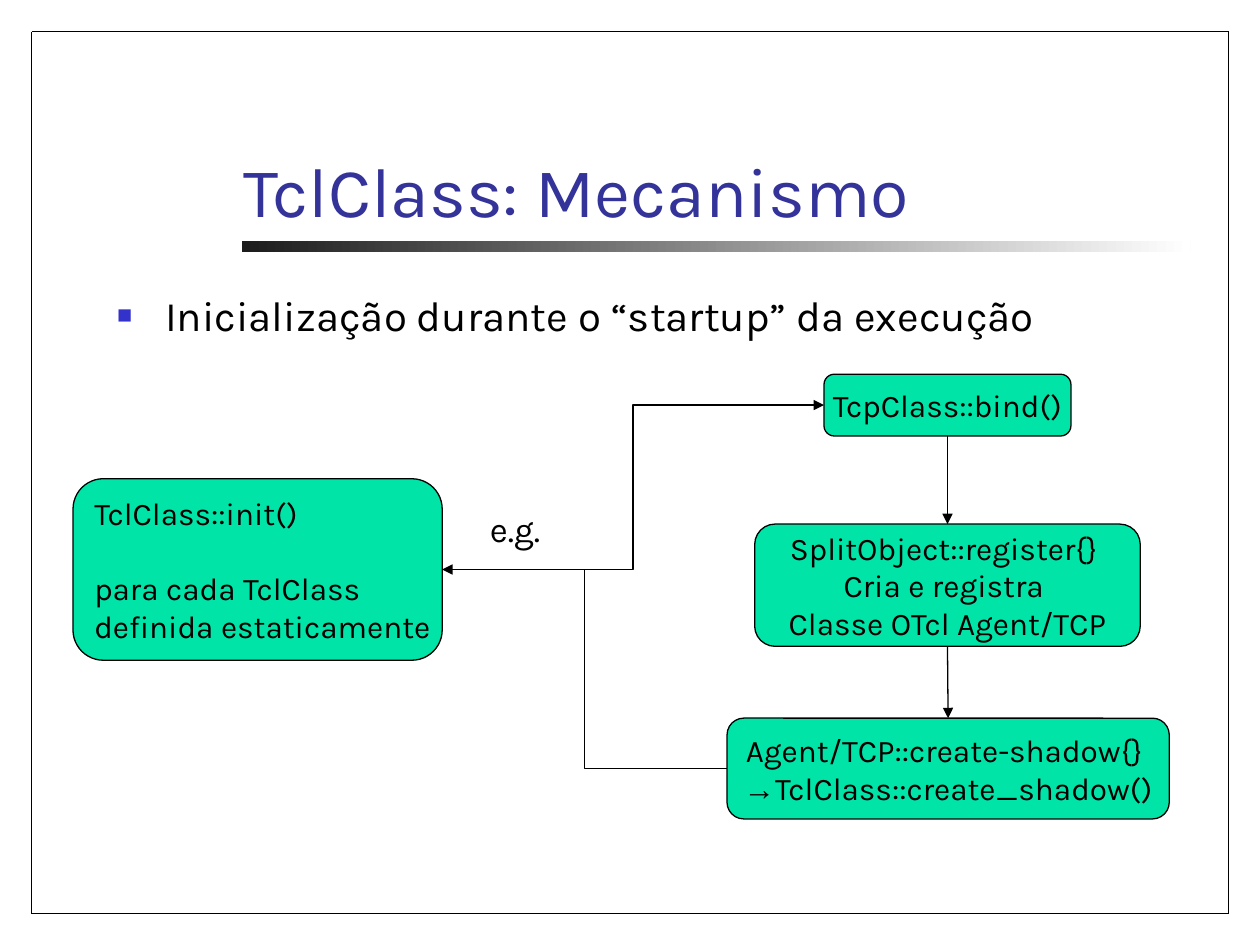
from lxml import etree
from pptx import Presentation, util as u
from pptx.dml.color import RGBColor
from pptx.enum import shapes, text
from pptx.oxml.ns import qn

FONT = "Karla"
BLACK, GREEN, NAVY, BLUE = "000000", "00E4A8", "333399", "3333CC"
LEFT, CENTER = text.PP_ALIGN.LEFT, text.PP_ALIGN.CENTER
TOP_SITE, LEFT_SITE, BOTTOM_SITE, RIGHT_SITE = range(4)


def color(value):
    return RGBColor.from_string(value)


def place(shape, left, top, width, height):
    shape.left, shape.top = u.Inches(left), u.Inches(top)
    shape.width, shape.height = u.Inches(width), u.Inches(height)


def write(frame, lines, *, size=18, fill=BLACK, align=LEFT,
          anchor=text.MSO_ANCHOR.TOP, wrap=False):
    """Fill a frame; a line is a string or a list of (string, font) spans."""
    frame.word_wrap = wrap
    frame.auto_size = text.MSO_AUTO_SIZE.NONE
    frame.vertical_anchor = anchor
    for index, line in enumerate(lines):
        para = frame.paragraphs[0] if index == 0 else frame.add_paragraph()
        para.alignment = align
        para.space_before = u.Pt(0)
        for words, font in [(line, FONT)] if isinstance(line, str) else line:
            span = para.add_run()
            span.text = words
            span.font.name = font
            span.font.size = u.Pt(size)
            span.font.color.rgb = color(fill)


def add_bullet(para, char, tint, percent, indent):
    props = para._p.get_or_add_pPr()
    props.set("marL", str(u.Inches(indent)))
    props.set("indent", str(-u.Inches(indent)))
    tint_node = etree.SubElement(props, qn("a:buClr"))
    etree.SubElement(tint_node, qn("a:srgbClr"), val=tint)
    etree.SubElement(props, qn("a:buSzPct"), val=str(percent * 1000))
    etree.SubElement(props, qn("a:buFont"), typeface="Arial")
    etree.SubElement(props, qn("a:buChar"), char=char)


def add_box(slide, bounds, lines, align=CENTER):
    box = slide.shapes.add_shape(
        shapes.MSO_SHAPE.ROUNDED_RECTANGLE, *map(u.Inches, bounds))
    box.shadow.inherit = False
    box.fill.solid()
    box.fill.fore_color.rgb = color(GREEN)
    box.line.color.rgb = color(BLACK)
    box.line.width = u.Pt(0.75)
    write(box.text_frame, lines, align=align, anchor=text.MSO_ANCHOR.MIDDLE)
    return box


def add_line(slide, start=(0, 0), end=(0, 0), kind=shapes.MSO_CONNECTOR.STRAIGHT):
    line = slide.shapes.add_connector(kind, *map(u.Inches, (*start, *end)))
    line.line.color.rgb = color(BLACK)
    line.line.width = u.Pt(0.75)
    etree.SubElement(line._element.spPr, qn("a:effectLst"))
    return line


def add_arrow(slide, source, source_site, target, target_site,
              kind=shapes.MSO_CONNECTOR.STRAIGHT):
    arrow = add_line(slide, kind=kind)
    arrow.begin_connect(source, source_site)
    arrow.end_connect(target, target_site)
    etree.SubElement(arrow.line._get_or_add_ln(), qn("a:tailEnd"), type="triangle")


def add_frame(slide):
    near, right, bottom = 0.25, 9.75, 7.25
    corners = [(near, near), (right, near), (right, bottom), (near, bottom)]
    for start, end in zip(corners, corners[1:] + corners[:1]):
        add_line(slide, start, end)


def add_title_rule(slide):
    rule = slide.shapes.add_shape(
        shapes.MSO_SHAPE.RECTANGLE, *map(u.Inches, (1.92, 1.91, 7.53, 0.09)))
    rule.shadow.inherit = False
    rule.line.fill.background()
    rule.fill.gradient()
    rule.fill.gradient_angle = 0
    for stop, tint in zip(rule.fill.gradient_stops, ("1C1C1C", "FFFFFF")):
        stop.color.rgb = color(tint)


def main():
    deck = Presentation()
    deck.slide_width, deck.slide_height = u.Inches(10), u.Inches(7.5)
    slide = deck.slides.add_slide(deck.slide_layouts[1])

    # Page decoration
    add_title_rule(slide)
    add_frame(slide)

    # Title and list
    title, body = slide.placeholders
    place(title, 1.83, 0.64, 7.58, 1.25)
    write(title.text_frame, ["TclClass: Mecanismo"], size=40, fill=NAVY,
          anchor=text.MSO_ANCHOR.BOTTOM, wrap=True)
    place(body, 0.83, 2.25, 8.46, 4.83)
    add_bullet(body.text_frame.paragraphs[0], "■", BLUE, 60, 0.38)
    write(body.text_frame, ["Inicialização durante o “startup” da execução"],
          size=24, wrap=True)

    # Steps of the mechanism
    register = add_box(slide, (5.99, 4.16, 3.06, 0.97), [
        "SplitObject::register{} ", "Cria e registra ", "Classe OTcl Agent/TCP"])
    init = add_box(slide, (0.58, 3.8, 2.93, 1.44), [
        "TclClass::init()", "para cada TclClass", "definida estaticamente"], LEFT)
    init.text_frame.paragraphs[1].space_before = u.Pt(21.5)
    bind = add_box(slide, (6.54, 2.97, 1.96, 0.49), ["TcpClass::bind()"])
    create = add_box(slide, (5.77, 5.7, 3.51, 0.8), [
        "Agent/TCP::create-shadow{} ",
        [("→", "Arial"), ("TclClass::create_shadow()", FONT)]])

    # Flow between the steps
    elbow = shapes.MSO_CONNECTOR.ELBOW
    add_arrow(slide, init, RIGHT_SITE, bind, LEFT_SITE, elbow)
    add_arrow(slide, bind, BOTTOM_SITE, register, TOP_SITE)
    add_arrow(slide, register, BOTTOM_SITE, create, TOP_SITE)
    add_arrow(slide, create, LEFT_SITE, init, RIGHT_SITE, elbow)

    label = slide.shapes.add_textbox(*map(u.Inches, (3.79, 3.98, 0.67, 0.44)))
    write(label.text_frame, ["e.g."], size=20)

    deck.save("out.pptx")


if __name__ == "__main__":
    main()
